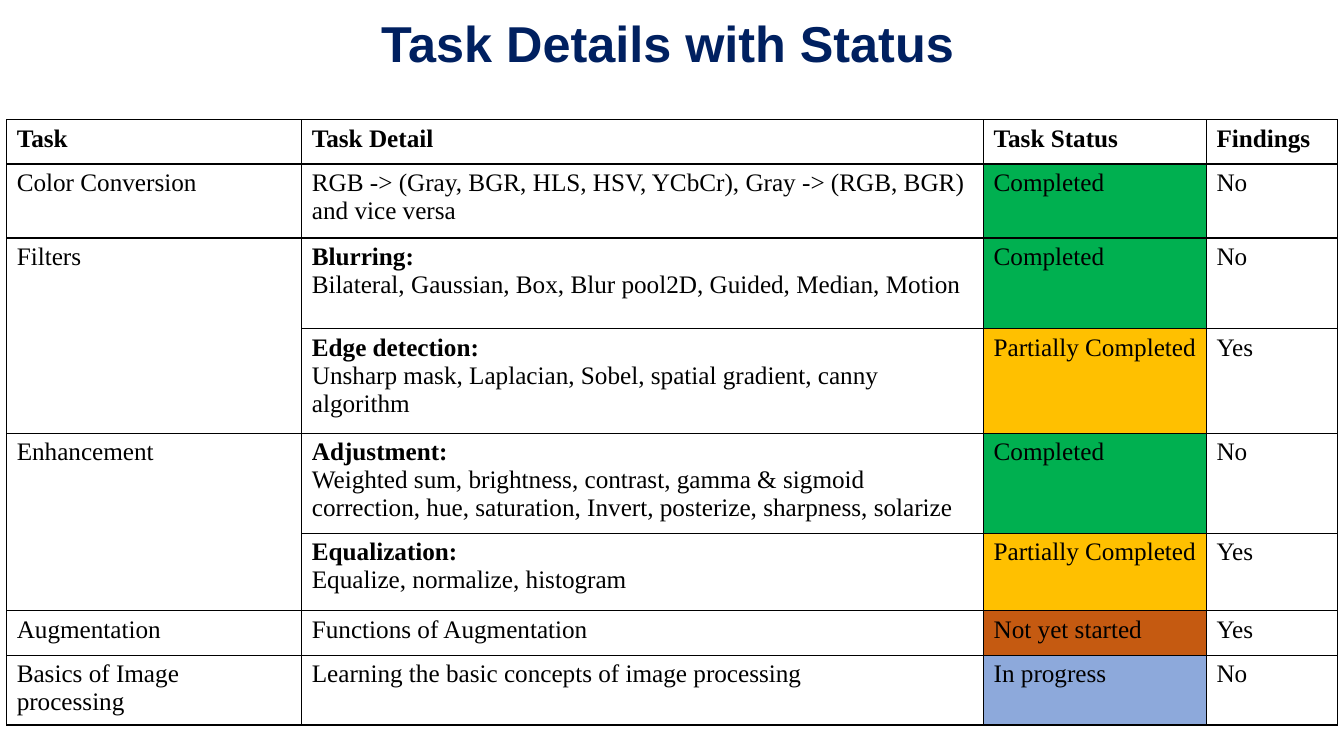
"""Build the task status slide with a title and a table."""
import pptx
import pptx.dml.color
import pptx.enum.text
import pptx.oxml
import pptx.oxml.ns
import pptx.util

Pt = pptx.util.Pt
RGBColor = pptx.dml.color.RGBColor

NAVY = RGBColor(0x00, 0x20, 0x60)
BLACK = RGBColor(0x00, 0x00, 0x00)
WHITE = RGBColor(0xFF, 0xFF, 0xFF)
GREEN = RGBColor(0x00, 0xB0, 0x50)
AMBER = RGBColor(0xFF, 0xC0, 0x00)
RUST = RGBColor(0xC5, 0x5A, 0x11)
BLUE = RGBColor(0x8D, 0xA9, 0xDB)

FILLS = {
    "Completed": GREEN,
    "Partially Completed": AMBER,
    "Not yet started": RUST,
    "In progress": BLUE,
}
WIDTHS = [210.8, 487, 159.2, 93.6]
HEIGHTS = [31.7, 52.8, 64.9, 74.6, 71.4, 55.5, 31.7, 49.9]
ROWS = [
    ("Task", ["Task Detail"], "Task Status", "Findings"),
    ("Color Conversion",
     ["RGB -> (Gray, BGR, HLS, HSV, YCbCr), Gray -> (RGB, BGR) and vice versa"],
     "Completed", "No"),
    ("Filters",
     ["Blurring:", "Bilateral, Gaussian, Box, Blur pool2D, Guided, Median, Motion"],
     "Completed", "No"),
    ("",
     ["Edge detection:",
      "Unsharp mask, Laplacian, Sobel, spatial gradient, canny algorithm"],
     "Partially Completed", "Yes"),
    ("Enhancement",
     ["Adjustment:",
      "Weighted sum, brightness, contrast, gamma & sigmoid correction, "
      "hue, saturation, Invert, posterize, sharpness, solarize"],
     "Completed", "No"),
    ("", ["Equalization:", "Equalize, normalize, histogram"],
     "Partially Completed", "Yes"),
    ("Augmentation", ["Functions of Augmentation"], "Not yet started", "Yes"),
    ("Basics of Image processing",
     ["Learning the basic concepts of image processing"], "In progress", "No"),
]


def add_run(para, text, font, size, color, bold):
    run = para.add_run()
    run.text = text
    run.font.name = font
    run.font.size = Pt(size)
    run.font.color.rgb = color
    run.font.bold = bold


def add_lines(cell):
    props = cell._tc.get_or_add_tcPr()
    for side in ("lnL", "lnR", "lnT", "lnB"):
        props.append(pptx.oxml.parse_xml(
            f'<a:{side} {pptx.oxml.ns.nsdecls("a")} w="{Pt(1)}">'
            f'<a:solidFill><a:srgbClr val="{BLACK}"/></a:solidFill></a:{side}>'))


deck = pptx.Presentation()
deck.slide_width = Pt(960)
deck.slide_height = Pt(540)
slide = deck.slides.add_slide(deck.slide_layouts[5])

title = slide.shapes.title
title.left, title.top, title.width, title.height = Pt(265), Pt(4.5), Pt(429), Pt(57)
title.text_frame.word_wrap = True
title.text_frame.vertical_anchor = pptx.enum.text.MSO_ANCHOR.MIDDLE
para = title.text_frame.paragraphs[0]
para.alignment = pptx.enum.text.PP_ALIGN.LEFT
para.line_spacing = 0.9
add_run(para, "Task Details with Status", "Arial", 36, NAVY, True)

frame = slide.shapes.add_table(
    len(HEIGHTS), len(WIDTHS), Pt(4.8), Pt(85.5), Pt(sum(WIDTHS)), Pt(sum(HEIGHTS)))
table = frame.table
table.first_row = False
table.horz_banding = False
for col, width in zip(table.columns, WIDTHS):
    col.width = Pt(width)
for row, height in zip(table.rows, HEIGHTS):
    row.height = Pt(height)

for r, (task, detail, status, found) in enumerate(ROWS):
    for c, lines in enumerate(([task], detail, [status], [found])):
        cell = table.cell(r, c)
        add_lines(cell)
        cell.fill.solid()
        cell.fill.fore_color.rgb = FILLS.get(lines[0], WHITE)
        for n, line in enumerate(lines):
            body = cell.text_frame
            para = body.add_paragraph() if n else body.paragraphs[0]
            bold = r == 0 or (len(lines) > 1 and n == 0)
            if line:
                add_run(para, line, "Times New Roman", 18, BLACK, bold)

for r in (2, 4):
    table.cell(r, 0).merge(table.cell(r + 1, 0))

deck.save("out.pptx")
